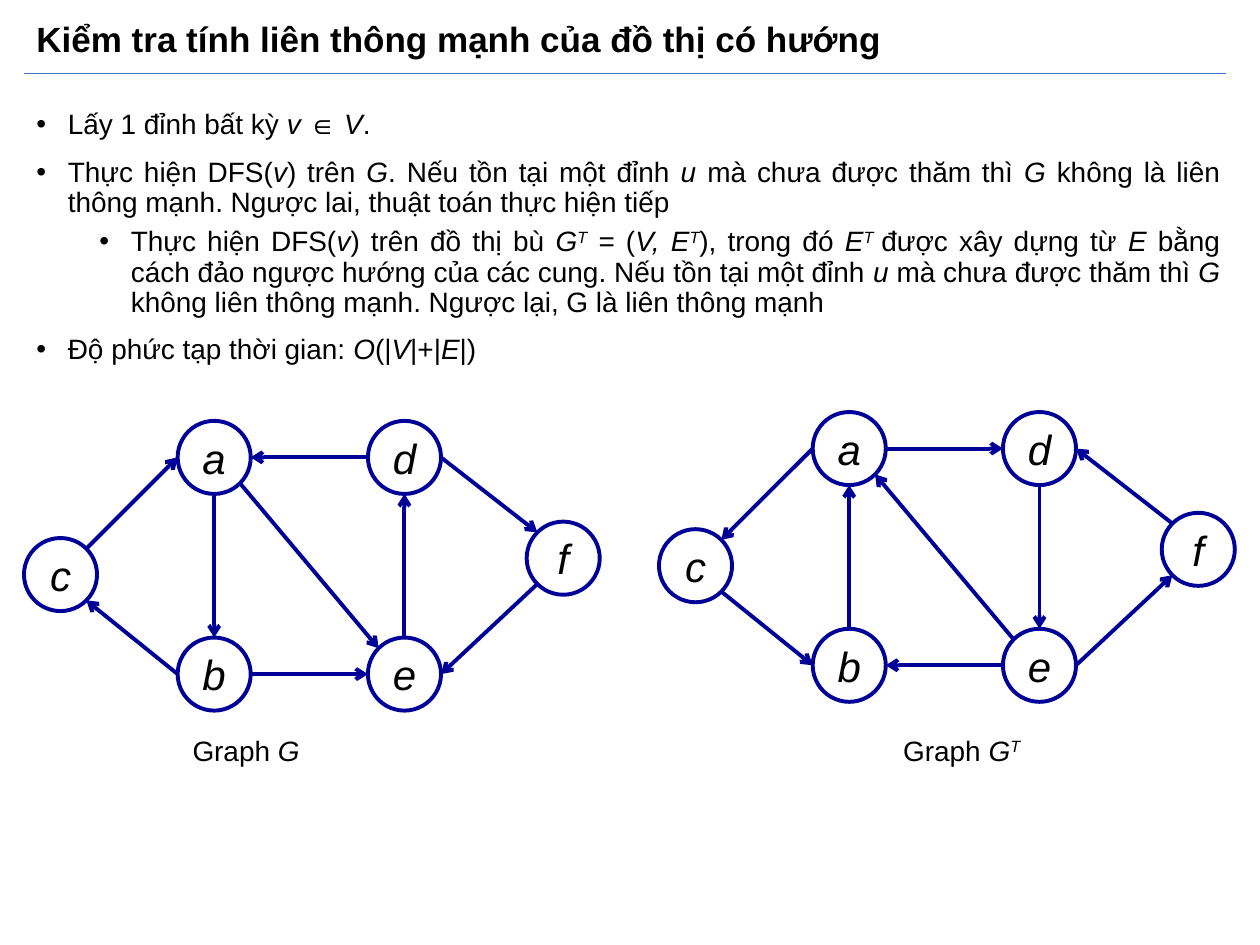
from dataclasses import dataclass
from math import sqrt

from lxml import etree
from pptx import Presentation
from pptx.dml.color import RGBColor
from pptx.enum import shapes as sh, text as tx
from pptx.oxml.ns import qn
from pptx.util import Inches, Pt


@dataclass(frozen=True)
class Theme:
    font: str = "Arial"
    ink: RGBColor = RGBColor(0, 0, 0)
    edge: RGBColor = RGBColor(0x00, 0x00, 0x99)
    rule: RGBColor = RGBColor(0x44, 0x72, 0xC4)
    title: int = 20
    body: int = 16
    node: int = 24
    thick: float = 2.25
    thin: float = 0.5


THEME = Theme()
TITLE = "Kiểm tra tính liên thông mạnh của đồ thị có hướng"

# Level and text: *italic*, and ^superscript^ inside italic.
POINTS = [
    (0, "Lấy 1 đỉnh bất kỳ *v *∈ *V*."),
    (0, "Thực hiện DFS(*v*) trên *G*. Nếu tồn tại một đỉnh *u *mà chưa được "
        "thăm thì *G *không là liên thông mạnh. Ngược lai, thuật toán thực "
        "hiện tiếp"),
    (1, "Thực hiện DFS(*v*) trên đồ thị bù *G^T^* = (*V, E^T^*), trong đó "
        "*E^T ^*được xây dựng từ *E *bằng cách đảo ngược hướng của các cung. "
        "Nếu tồn tại một đỉnh *u *mà chưa được thăm thì *G *không liên thông "
        "mạnh. Ngược lại, G là liên thông mạnh"),
    (0, "Độ phức tạp thời gian: *O*(|*V*|+|*E*|)"),
]

SIZE = 0.58
NODES = {"c": (0, 0.93), "a": (1.22, 0), "d": (2.73, 0),
         "e": (2.73, 1.72), "b": (1.22, 1.72), "f": (3.99, 0.8)}

# Start node and side, end node and side.
EDGES = [("e", "N", "d", "S"), ("b", "E", "e", "W"), ("b", "W", "c", "SE"),
         ("a", "S", "b", "N"), ("d", "W", "a", "E"), ("c", "NE", "a", "W"),
         ("d", "E", "f", "NW"), ("f", "SW", "e", "E"), ("a", "SE", "e", "NW")]


def style(run, size, bold=False, italic=False):
    font = run.font
    font.name, font.size = THEME.font, Pt(size)
    font.bold, font.italic = bold, italic
    font.color.rgb = THEME.ink


def fill(para, mark):
    """Turn marked text into plain, italic and superscript runs."""
    para.line_spacing = 0.9
    for i, part in enumerate(mark.split("*")):
        for j, word in enumerate(part.split("^")):
            if word:
                run = para.add_run()
                run.text = word
                style(run, THEME.body, italic=i % 2 == 1)
                if j % 2:
                    run.font._element.set("baseline", "30000")


def add_box(shapes, x, y, w, h):
    frame = shapes.add_textbox(*map(Inches, (x, y, w, h))).text_frame
    frame.word_wrap = True
    return frame


def add_line(shapes, start, end, color, width, arrow=False):
    line = shapes.add_connector(sh.MSO_CONNECTOR.STRAIGHT,
                                *map(Inches, (*start, *end)))
    line.line.color.rgb = color
    line.line.width = Pt(width)
    if arrow:
        etree.SubElement(line.line._get_or_add_ln(), qn("a:tailEnd"),
                         type="arrow")
    etree.SubElement(line._element.spPr, qn("a:effectLst"))


def add_head(shapes, x, y, w, h):
    frame = add_box(shapes, x, y, w, h)
    frame.vertical_anchor = tx.MSO_ANCHOR.MIDDLE
    para = frame.paragraphs[0]
    para.text = TITLE
    para.line_spacing = 0.9
    style(para.runs[0], THEME.title, bold=True)
    add_line(shapes, (x, y + h), (9.73, y + h), THEME.rule, THEME.thin)


def add_points(shapes, x, y, w, h):
    frame = add_box(shapes, x, y, w, h)
    for i, (level, mark) in enumerate(POINTS):
        para = frame.add_paragraph() if i else frame.paragraphs[0]
        para.level = level
        para.alignment = tx.PP_ALIGN.JUSTIFY
        para.space_before = Pt(5 if level else 10)
        fill(para, mark)
        props = para._p.get_or_add_pPr()
        props.set("marL", str(Inches(0.25 + 0.5 * level)))
        props.set("indent", str(Inches(-0.25)))
        etree.SubElement(props, qn("a:buFont"), typeface=THEME.font)
        etree.SubElement(props, qn("a:buChar"), char="•")


def add_node(shapes, name, x, y):
    node = shapes.add_shape(sh.MSO_SHAPE.OVAL,
                            *map(Inches, (x, y, SIZE, SIZE)))
    node.shadow.inherit = False
    node.fill.background()
    node.line.color.rgb = THEME.edge
    node.line.width = Pt(THEME.thick)
    frame = node.text_frame
    frame.word_wrap = False
    frame.vertical_anchor = tx.MSO_ANCHOR.MIDDLE
    para = frame.paragraphs[0]
    para.text = name
    para.alignment = tx.PP_ALIGN.CENTER
    style(para.runs[0], THEME.node, italic=True)


def rim(name, side, x, y):
    """Point on a node's circle at a compass side."""
    reach = SIZE / 2 / sqrt(len(side))
    left, top = NODES[name]
    return (x + left + SIZE / 2 + reach * (("E" in side) - ("W" in side)),
            y + top + SIZE / 2 + reach * (("S" in side) - ("N" in side)))


def add_graph(shapes, x, y, flip=False):
    """Draw the graph from its top left; flip reverses every edge."""
    for name, (left, top) in NODES.items():
        add_node(shapes, name, x + left, y + top)
    for a, out, b, into in EDGES:
        ends = [rim(a, out, x, y), rim(b, into, x, y)]
        if flip:
            ends.reverse()
        add_line(shapes, *ends, THEME.edge, THEME.thick, arrow=True)


def add_label(shapes, mark, x, y, w, h):
    fill(add_box(shapes, x, y, w, h).paragraphs[0], mark)


def main():
    deck = Presentation()
    deck.slide_width, deck.slide_height = Inches(10), Inches(7.5)
    shapes = deck.slides.add_slide(deck.slide_layouts[6]).shapes
    add_head(shapes, 0.19, 0.08, 8.62, 0.5)
    add_points(shapes, 0.19, 0.83, 9.59, 5.75)
    add_label(shapes, "Graph *G*", 1.43, 5.8, 2, 0.4)
    add_label(shapes, "Graph *G^T^*", 7.07, 5.8, 2, 0.4)
    add_graph(shapes, 0.19, 3.34)
    add_graph(shapes.add_group_shape().shapes, 5.23, 3.27, flip=True)
    deck.save("out.pptx")


if __name__ == "__main__":
    main()
